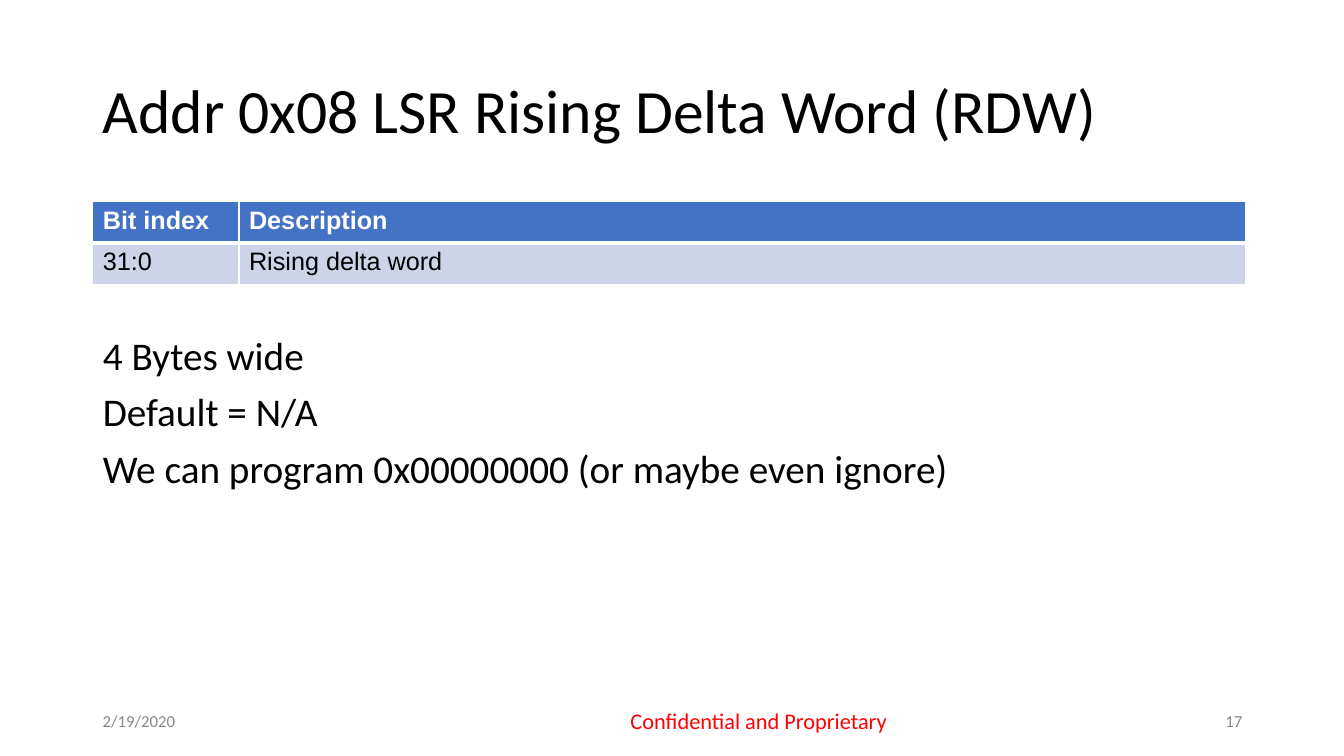
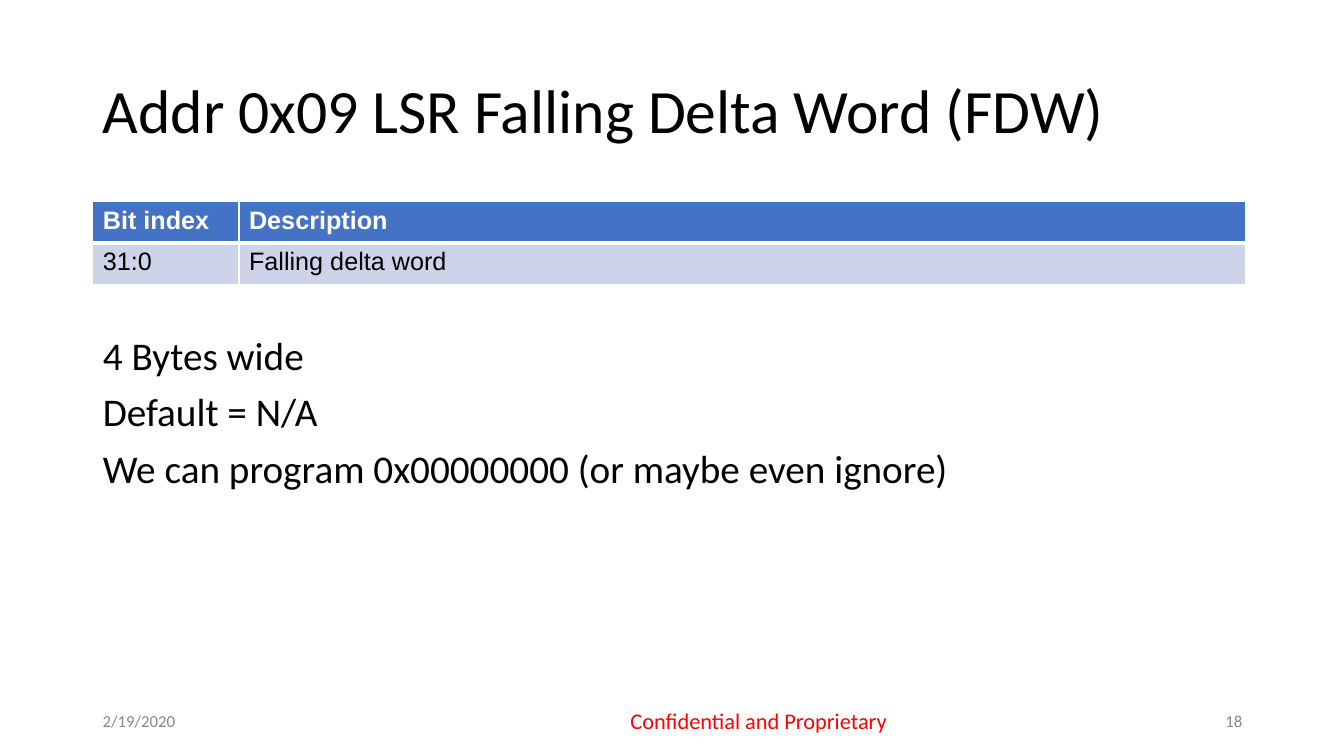
from lxml.etree import SubElement
from pptx import Presentation
from pptx.dml.color import RGBColor
from pptx.enum.text import MSO_ANCHOR as Anchor, MSO_AUTO_SIZE as AutoSize, PP_ALIGN as Align
from pptx.oxml.ns import qn
from pptx.util import Inches, Pt

TITLE_AND_CONTENT = 1
FIRST_PAGE = 17
LEFT, WIDTH = 0.92, 11.5
FOOTER_TOP, FOOTER_HEIGHT = 6.95, 0.4
COLUMNS, ROW_HEIGHT = (1.45, 9.98), 0.41

BODY_FONT, TABLE_FONT = "Calibri", "Arial"
BLACK, WHITE, GRAY, RED = "000000", "FFFFFF", "888888", "FF0000"
HEADER_BLUE, ROW_BLUE = "4472C4", "CDD4EA"

REGISTERS = [
    ("Addr 0x08 LSR Rising Delta Word (RDW)", "Rising delta word"),
    ("Addr 0x09 LSR Falling Delta Word (FDW)", "Falling delta word"),
]
NOTES = ["4 Bytes wide", "Default = N/A",
         "We can program 0x00000000 (or maybe even ignore)"]


def color(value):
    return RGBColor.from_string(value)


def place(shape, left, top, width, height):
    shape.left, shape.top = Inches(left), Inches(top)
    shape.width, shape.height = Inches(width), Inches(height)


class RegisterDeck:
    def __init__(self):
        self.deck = Presentation()
        self.deck.slide_width, self.deck.slide_height = Inches(13.33), Inches(7.5)
        self.page = None

    def new_page(self):
        layout = self.deck.slide_layouts[TITLE_AND_CONTENT]
        self.page = self.deck.slides.add_slide(layout)

    def add_span(self, para, text, size, ink=BLACK, font=BODY_FONT, bold=False):
        span = para.add_run()
        span.text = text
        span.font.size, span.font.name, span.font.bold = Pt(size), font, bold
        span.font.color.rgb = color(ink)

    def title(self, text):
        box = self.page.shapes.title
        place(box, LEFT, 0.4, WIDTH, 1.45)
        frame = box.text_frame
        frame.auto_size, frame.vertical_anchor = AutoSize.NONE, Anchor.MIDDLE
        para = frame.paragraphs[0]
        para.alignment, para.line_spacing = Align.LEFT, 0.9
        self.add_span(para, text, 44)

    def body(self, lines):
        box = self.page.placeholders[1]
        place(box, LEFT, 3.29, WIDTH, 3.46)
        frame = box.text_frame
        frame.auto_size = AutoSize.NONE
        for index, line in enumerate(lines):
            para = frame.add_paragraph() if index else frame.paragraphs[0]
            para.line_spacing = 0.9
            para.space_before = Pt(10 if index else 0)
            # Plain lines: no bullet and no hanging indent
            props = para._p.get_or_add_pPr()
            props.set("marL", "0")
            props.set("indent", "0")
            SubElement(props, qn("a:buNone"))
            self.add_span(para, line, 28)

    def border(self, cell, side, points):
        line = SubElement(cell._tc.get_or_add_tcPr(), qn(f"a:ln{side}"), w=str(Pt(points)))
        fill = SubElement(line, qn("a:solidFill"))
        SubElement(fill, qn("a:srgbClr"), val=WHITE)

    def table(self, rows):
        frame = self.page.shapes.add_table(
            len(rows), len(COLUMNS), Inches(LEFT), Inches(2),
            Inches(sum(COLUMNS)), Inches(ROW_HEIGHT * len(rows)))
        grid = frame.table
        for column, width in zip(grid.columns, COLUMNS):
            column.width = Inches(width)
        for row_index, texts in enumerate(rows):
            header = row_index == 0
            grid.rows[row_index].height = Inches(ROW_HEIGHT)
            for column_index, text in enumerate(texts):
                cell = grid.cell(row_index, column_index)
                # A thick rule separates the header from the rows
                self.border(cell, "L", 1)
                self.border(cell, "R", 1)
                self.border(cell, "T", 3 if row_index == 1 else 1)
                self.border(cell, "B", 3 if header else 1)
                cell.fill.solid()
                cell.fill.fore_color.rgb = color(HEADER_BLUE if header else ROW_BLUE)
                self.add_span(cell.text_frame.paragraphs[0], text, 18,
                              WHITE if header else BLACK, TABLE_FONT, header)

    def footer_text(self, text, left, width, align, size=12, ink=GRAY):
        box = self.page.shapes.add_textbox(
            Inches(left), Inches(FOOTER_TOP), Inches(width), Inches(FOOTER_HEIGHT))
        frame = box.text_frame
        frame.word_wrap, frame.vertical_anchor = True, Anchor.MIDDLE
        para = frame.paragraphs[0]
        para.alignment = align
        self.add_span(para, text, size, ink)

    def footer(self, number):
        self.footer_text("2/19/2020", LEFT, 3, Align.LEFT)
        self.footer_text("Confidential and Proprietary", 6.14, 2.77, Align.CENTER, 16, RED)
        self.footer_text(str(number), LEFT + WIDTH - 3, 3, Align.RIGHT)


def main():
    show = RegisterDeck()
    for number, (heading, description) in enumerate(REGISTERS, FIRST_PAGE):
        show.new_page()
        show.title(heading)
        show.body(NOTES)
        show.footer(number)
        show.table([("Bit index", "Description"), ("31:0", description)])
    show.deck.save("out.pptx")


if __name__ == "__main__":
    main()
